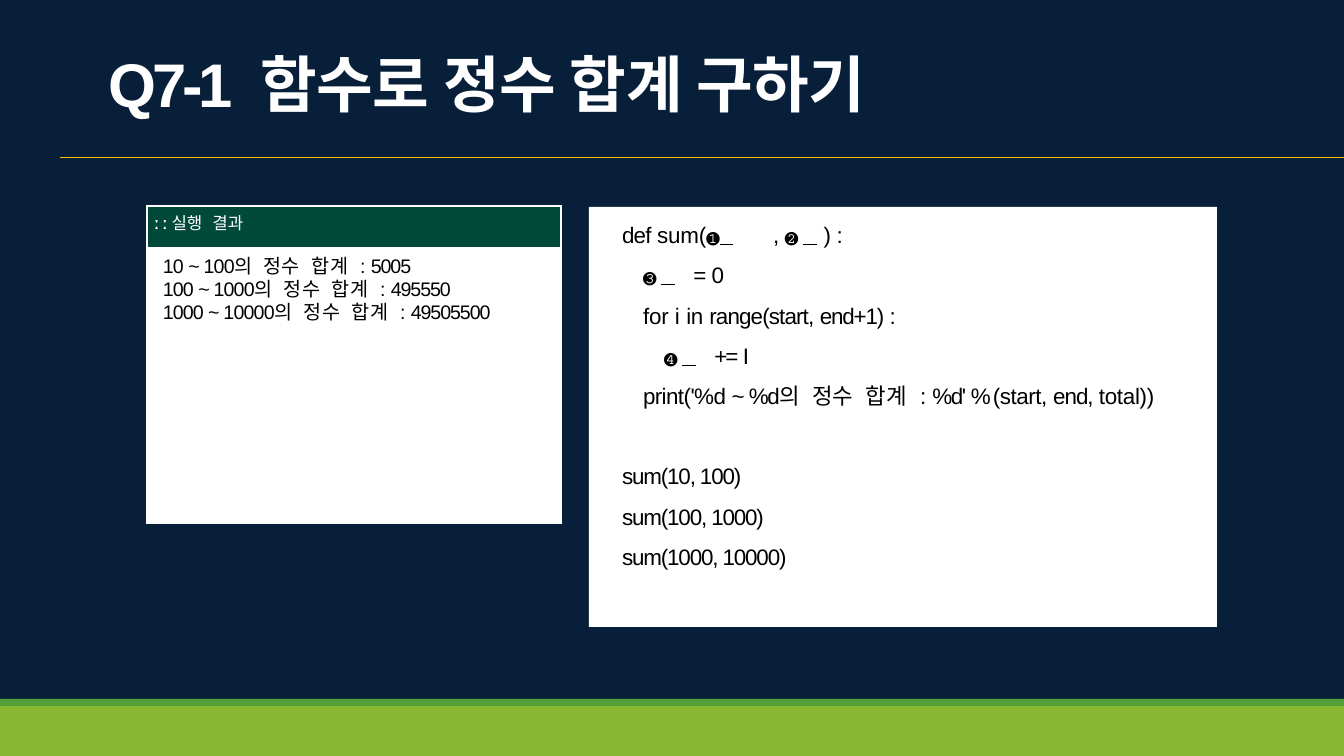
import pptx
import pptx.util
import pptx.dml.color
import pptx.enum.shapes
import pptx.enum.text
from pptx.oxml.ns import qn
from lxml import etree

HUES = {"navy": "081F3A", "lime": "89B833", "leaf": "539E39", "gold": "FFC000",
        "pine": "014A3A", "white": "FFFFFF", "black": "000000"}
SANS, MONO, NOTO = "Arial", "DejaVu Sans Mono", "Noto Sans CJK KR"
BARS = [(0, 699, "navy"), (706, 50, "lime"), (699, 7, "leaf")]
SUMS = [("10", "100", "5005"), ("100", "1000", "495550"), ("1000", "10000", "49505500")]

# paragraph: left indent px, space before pt, tab stops px, runs
TITLE = [(1, 1, [161], [("Q7-1\t", SANS, -3.2), ("함수로 ", NOTO, -0.3),
                        ("정수 합계 ", NOTO, -0.2), ("구하기", NOTO, -0.5)])]
HEAD = [(7, 6, [], [("ː ː ", SANS, -0.7), ("실행 결과", MONO, 0)])]
RESULT = [(16, 0 if row else 4.8, [],
           [(low + " ", SANS, -0.7), ("~ ", SANS, -1.2), (high, SANS, -0.6),
            ("의 ", MONO, -0.6), ("정수 합계 ", MONO, 0), (": ", SANS, -0.1),
            (total, SANS, -0.8)])
          for row, (low, high, total) in enumerate(SUMS)]
CODE = [
    (33, 9.9, [236, 370],
     [("def ", SANS, -0.5), ("sum(", SANS, -0.1), ("❶", MONO, -0.1), (" \t", MONO, -0.1),
      (", ", SANS, -0.5), ("❷", MONO, 3.5), (" \t", MONO, 3.5), (") ", SANS, -0.5),
      (":", SANS, -0.2)]),
    (54, 9.7, [176],
     [("❸", MONO, 3.5), (" \t", MONO, 3.5), ("=", SANS, -1.4), (" 0", SANS, -0.8)]),
    (54, 9.6, [],
     [("for ", SANS, -0.1), ("i ", SANS, 0.1), ("in ", SANS, -0.2),
      ("range(start, ", SANS, -0.6), ("end+1) ", SANS, -0.8), (":", SANS, -0.2)]),
    (75, 9.6, [197],
     [("❹", MONO, 3.5), (" \t", MONO, 3.5), ("+= ", SANS, -1.4), ("I", SANS, -0.5)]),
    (54, 9.6, [],
     [("print('%d ", SANS, -0.4), ("~ ", SANS, -1.4), ("%d", SANS, -1.1),
      ("의 ", MONO, -1.1), ("정수 합계 ", MONO, -0.1), (": ", SANS, -0.2),
      ("%d' ", SANS, -1), ("% ", SANS, -2.9), ("(start, ", SANS, -0.3),
      ("end, ", SANS, -0.7), ("total))", SANS, -0.2)]),
    (33, 38, [], [("sum(10, 100)", SANS, -0.8)]),
    (33, 9.6, [], [("sum(100, 1000)", SANS, -0.8)]),
    (33, 9.6, [], [("sum(1000, 10000)", SANS, -0.8)]),
]


def px(size):
    return round(size * 914400 / 100.8)


def tint(name):
    return pptx.dml.color.RGBColor.from_string(HUES[name])


def paint(item, hue):
    item.fill.solid()
    item.fill.fore_color.rgb = tint(hue)


def inset(item, top):
    item.margin_left = item.margin_right = item.margin_bottom = 0
    item.margin_top = px(top)


def write(frame, lines, size, hue, bold=False):
    for row, (left, gap, stops, runs) in enumerate(lines):
        para = frame.add_paragraph() if row else frame.paragraphs[0]
        para.alignment = pptx.enum.text.PP_ALIGN.LEFT
        para.space_before = pptx.util.Pt(gap)
        props = para._p.get_or_add_pPr()
        props.set("marL", str(px(left)))
        props.set("indent", "0")
        if stops:
            tabs = etree.SubElement(props, qn("a:tabLst"))
            for stop in stops:
                etree.SubElement(tabs, qn("a:tab"), pos=str(px(stop)), algn="l")
        for text, face, space in runs:
            run = para.add_run()
            run.text = text
            font = run.font
            font.size = pptx.util.Pt(size)
            font.bold = bold and face != MONO
            font.underline = face == MONO and "\t" in text
            font.color.rgb = tint(hue)
            font.name = face
            mark = run._r.get_or_add_rPr()
            mark.set("spc", str(round(space * 100)))
            etree.SubElement(mark, qn("a:ea"), typeface=face)


def box(shapes, left, top, width, height, hue):
    shape = shapes.add_shape(pptx.enum.shapes.MSO_SHAPE.RECTANGLE,
                             px(left), px(top), px(width), px(height))
    shape.shadow.inherit = False
    shape.line.fill.background()
    paint(shape, hue)
    return shape


def main():
    deck = pptx.Presentation()
    deck.slide_width, deck.slide_height = px(1344), px(756)
    slide = deck.slides.add_slide(deck.slide_layouts[5])
    shapes = slide.shapes
    title = shapes.title

    for top, height, hue in BARS:
        box(shapes, 0, top, 1344, height, hue)
    shapes._spTree.append(title._element)

    title.left, title.top, title.width, title.height = px(108), px(44), px(872), px(76)
    frame = title.text_frame
    frame.auto_size = pptx.enum.text.MSO_AUTO_SIZE.NONE
    frame.vertical_anchor = pptx.enum.text.MSO_ANCHOR.MIDDLE
    inset(frame, 1)
    write(frame, TITLE, 44, "white", True)

    rule = shapes.add_connector(pptx.enum.shapes.MSO_CONNECTOR.STRAIGHT,
                                px(60), px(157), px(1344), px(157))
    rule.line.color.rgb = tint("gold")
    rule.line.width = pptx.util.Pt(0.48)
    etree.SubElement(rule._element.spPr, qn("a:effectLst"))

    frame = box(shapes, 589, 207, 628, 420, "white").text_frame
    frame.word_wrap = True
    frame.vertical_anchor = pptx.enum.text.MSO_ANCHOR.TOP
    inset(frame, 14)
    write(frame, CODE, 16, "black")

    table = shapes.add_table(2, 1, px(147), px(206), px(414), px(317)).table
    table.first_row = table.horz_banding = False
    cells = [(42, "pine", 8, HEAD, 12, "white", True),
             (275, "white", 7, RESULT, 14, "black", False)]
    for row, (height, fill, top, lines, size, hue, bold) in enumerate(cells):
        table.rows[row].height = px(height)
        cell = table.cell(row, 0)
        paint(cell, fill)
        inset(cell, top)
        write(cell.text_frame, lines, size, hue, bold)

    deck.save("out.pptx")


if __name__ == "__main__":
    main()
